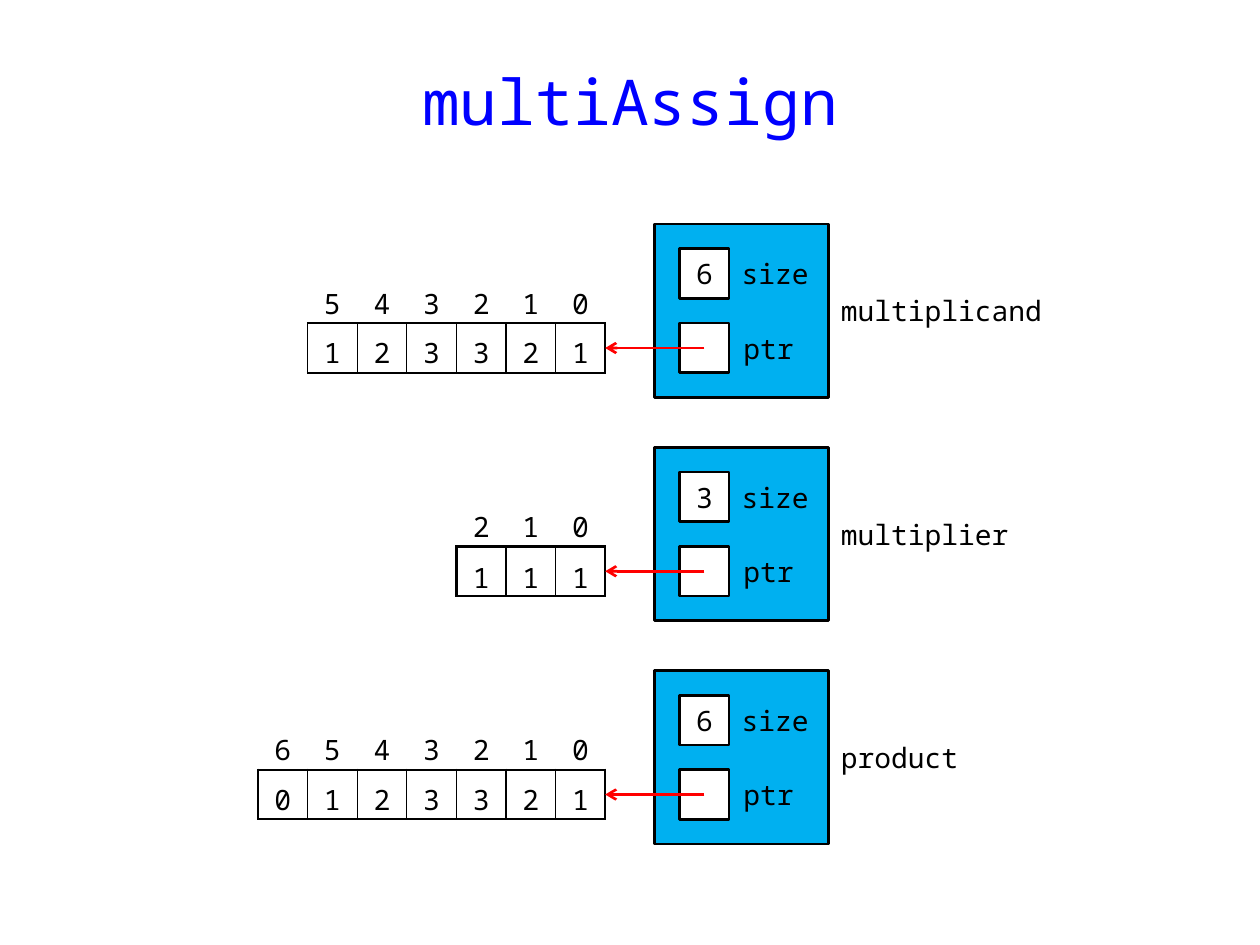
from dataclasses import dataclass

import pptx
import pptx.dml.color
import pptx.enum.shapes
import pptx.enum.text
import pptx.oxml
import pptx.oxml.ns
import pptx.slide
import pptx.util

Pt = pptx.util.Pt
ALIGN = pptx.enum.text.PP_ALIGN

COLORS = {"title": "0000FF", "ink": "000000", "record": "00B0F0",
          "slot": "FFFFFF", "pointer": "FF0000"}
FONT = "Noto Sans Mono"
NO_GRID_STYLE = "{2D5ABB26-0587-4C30-8999-92F81FD0307C}"

UNIT = 28.35  # side of one digit cell; the layout is a grid of these
RECORD_LEFT = 374.2
FIRST_TOP = 128
RECORD_PITCH = 4.5 * UNIT
RECORD_SIDE = 3.5 * UNIT
THICK, THIN = 1.5, 0.75


@dataclass
class BigNumber:
    name: str
    size: str
    digits: str
    name_width: float
    left_edge: float = 1
    padding: float = 0


NUMBERS = [
    BigNumber("multiplicand", "6", "123321", 5 * UNIT),
    BigNumber("multiplier", "3", "111", 4 * UNIT, left_edge=THICK, padding=1.5),
    BigNumber("product", "6", "0123321", 3 * UNIT),
]


def rgb(name: str) -> pptx.dml.color.RGBColor:
    return pptx.dml.color.RGBColor.from_string(COLORS[name])


def write(frame, text: str, align=ALIGN.LEFT, size: float = 16,
          color: str = "ink") -> None:
    paragraph = frame.paragraphs[0]
    paragraph.alignment = align
    run = paragraph.add_run()
    run.text = text
    run.font.name = FONT
    run.font.size = Pt(size)
    run.font.color.rgb = rgb(color)


def set_insets(frame, left: float, right: float, vertical: float = 0) -> None:
    frame.margin_left, frame.margin_right = Pt(left), Pt(right)
    frame.margin_top = frame.margin_bottom = Pt(vertical)


def add_label(slide: pptx.slide.Slide, text: str, left: float, top: float,
              width: float, height: float, right_inset: float = 7.2, **style) -> None:
    label = slide.shapes.add_textbox(Pt(left), Pt(top), Pt(width), Pt(height))
    frame = label.text_frame
    frame.word_wrap = True
    frame.vertical_anchor = pptx.enum.text.MSO_ANCHOR.MIDDLE
    set_insets(frame, 7.2, right_inset)
    write(frame, text, **style)


def add_square(slide: pptx.slide.Slide, left: float, top: float, side: float,
               fill: str, text: str = "") -> None:
    square = slide.shapes.add_shape(pptx.enum.shapes.MSO_SHAPE.RECTANGLE,
                                    Pt(left), Pt(top), Pt(side), Pt(side))
    square.shadow.inherit = False
    square.fill.solid()
    square.fill.fore_color.rgb = rgb(fill)
    square.line.color.rgb = rgb("ink")
    square.line.width = Pt(THICK)
    if text:
        frame = square.text_frame
        frame.vertical_anchor = pptx.enum.text.MSO_ANCHOR.MIDDLE
        set_insets(frame, 0, 0)
        write(frame, text, ALIGN.CENTER)


def set_borders(cell, **widths: float) -> None:
    """Draw the sides given as L, R, T, B (in that order) with widths in points."""
    properties = cell._tc.get_or_add_tcPr()
    for position, (side, width) in enumerate(widths.items()):
        properties.insert(position, pptx.oxml.parse_xml(
            f'<a:ln{side} {pptx.oxml.ns.nsdecls("a")} w="{Pt(width)}"><a:solidFill>'
            f'<a:srgbClr val="{COLORS["ink"]}"/></a:solidFill></a:ln{side}>'))


def add_digits(slide: pptx.slide.Slide, number: BigNumber, top: float) -> None:
    """Table with place numbers above the boxed digits, ending left of the record."""
    count = len(number.digits)
    left = RECORD_LEFT - (count + 1) * UNIT
    frame = slide.shapes.add_table(2, count, Pt(left), Pt(top),
                                   Pt(count * UNIT), Pt(2 * UNIT))
    table = frame.table
    table.first_row = table.horz_banding = False
    table._tbl.tblPr.find(pptx.oxml.ns.qn("a:tableStyleId")).text = NO_GRID_STYLE
    for row in table.rows:
        row.height = Pt(UNIT)
    for index, digit in enumerate(number.digits):
        table.columns[index].width = Pt(UNIT)
        place, value = table.cell(0, index), table.cell(1, index)
        for cell, text, padding in ((place, str(count - 1 - index), 0),
                                    (value, digit, number.padding)):
            cell.fill.background()
            cell.vertical_anchor = pptx.enum.text.MSO_ANCHOR.MIDDLE
            set_insets(cell, 0, 0, padding)
            write(cell.text_frame, text, ALIGN.CENTER)
            cell.text_frame.paragraphs[0].line_spacing = 1.25
        set_borders(place, B=THICK)
        set_borders(value, L=THIN if index else number.left_edge,
                    R=THICK if index == count - 1 else THIN, T=THICK, B=THICK)


def add_pointer(slide: pptx.slide.Slide, y: float) -> None:
    pointer = slide.shapes.add_connector(
        pptx.enum.shapes.MSO_CONNECTOR.STRAIGHT, Pt(RECORD_LEFT + UNIT), Pt(y),
        Pt(RECORD_LEFT - UNIT), Pt(y))
    pointer.line.color.rgb = rgb("pointer")
    pointer.line.width = Pt(THICK)
    namespace = pptx.oxml.ns.nsdecls("a")
    pointer.line._get_or_add_ln().append(
        pptx.oxml.parse_xml(f'<a:tailEnd {namespace} type="arrow"/>'))
    pointer._element.spPr.append(pptx.oxml.parse_xml(f"<a:effectLst {namespace}/>"))


def add_number(slide: pptx.slide.Slide, number: BigNumber, top: float) -> None:
    slot_left = RECORD_LEFT + UNIT / 2
    label_left = slot_left + UNIT
    size_top, ptr_top = top + UNIT / 2, top + 2 * UNIT
    add_square(slide, RECORD_LEFT, top, RECORD_SIDE, "record")
    add_square(slide, slot_left, size_top, UNIT, "slot", number.size)
    add_square(slide, slot_left, ptr_top, UNIT, "slot")
    add_label(slide, number.name, RECORD_LEFT + RECORD_SIDE, top + UNIT,
              number.name_width, 1.5 * UNIT)
    add_label(slide, "size", label_left, size_top, 2 * UNIT, UNIT)
    add_label(slide, "ptr", label_left, ptr_top, 1.5 * UNIT, UNIT,
              right_inset=5.7, align=ALIGN.RIGHT)
    add_digits(slide, number, top + UNIT)
    add_pointer(slide, ptr_top + UNIT / 2)


def main() -> None:
    presentation = pptx.Presentation()
    presentation.slide_width, presentation.slide_height = Pt(720), Pt(540)
    slide = presentation.slides.add_slide(presentation.slide_layouts[6])
    add_label(slide, "multiAssign", 20, 15, 680, 85,
              align=ALIGN.CENTER, size=36, color="title")
    for index, number in enumerate(NUMBERS):
        add_number(slide, number, FIRST_TOP + index * RECORD_PITCH)
    presentation.save("out.pptx")


if __name__ == "__main__":
    main()
